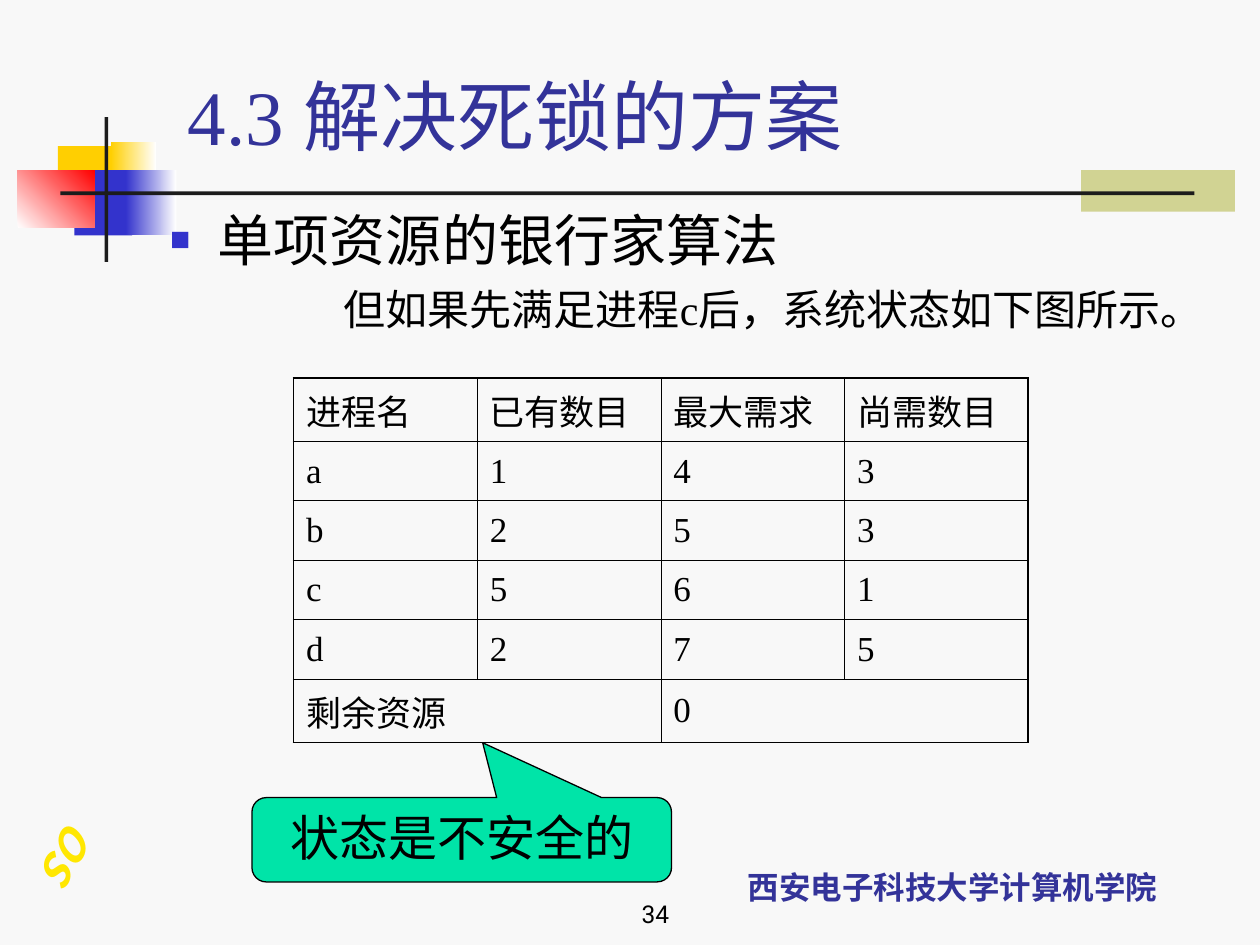
"""Slide on the banker's algorithm: an unsafe state after process c is served first."""
from typing import NamedTuple, Optional

from lxml import etree
from pptx import Presentation
from pptx.dml.color import RGBColor
from pptx.enum.shapes import MSO_SHAPE
from pptx.enum.text import MSO_ANCHOR, MSO_AUTO_SIZE, PP_ALIGN
from pptx.oxml.ns import qn
from pptx.util import Inches, Pt

RECT, CALLOUT = MSO_SHAPE.RECTANGLE, MSO_SHAPE.ROUNDED_RECTANGULAR_CALLOUT
LEFT, CENTER, RIGHT = PP_ALIGN.LEFT, PP_ALIGN.CENTER, PP_ALIGN.RIGHT
TOP, MIDDLE, BOTTOM = MSO_ANCHOR.TOP, MSO_ANCHOR.MIDDLE, MSO_ANCHOR.BOTTOM
NO_FIT = MSO_AUTO_SIZE.NONE
WIDTH, HEIGHT = Inches(10), Inches(7.5)
SERIF, SANS, DIGITS = "Times New Roman", "Noto Sans CJK SC", "Roboto"
THIN, THICK = Pt(0.45), Pt(1.08)
COLORS = {
    "paper": "F8F8F8", "olive": "D1D393", "yellow": "FFCF01", "blue": "3333CC",
    "red": "FF0000", "white": "FFFFFF", "ink": "1C1C1C", "navy": "333399",
    "black": "000000", "gold": "FFE701", "mint": "00E4A8",
}


class Box(NamedTuple):
    """A frame in percent of the slide's width and height."""
    left: float
    top: float
    width: float
    height: float

    def emu(self) -> tuple:
        """Return the frame in slide units."""
        sides = zip(self, (WIDTH, HEIGHT) * 2)
        return tuple(round(share * side / 100) for share, side in sides)


class Block(NamedTuple):
    """A decorative rectangle, fading to a second colour if one is given."""
    box: Box
    color: str
    fade: Optional[str] = None
    angle: float = 0


class Style(NamedTuple):
    """Look of a run of text and its paragraph."""
    size: float
    color: str = "black"
    font: str = SERIF
    bold: bool = False
    italic: bool = False
    align: PP_ALIGN = LEFT
    before: float = 0


BLOCKS = [
    Block(Box(85.8, 18, 12.2, 4.4), "olive"),
    Block(Box(4.6, 15.47, 4.8, 6.93), "yellow"),
    Block(Box(8.8, 15.07, 3.6, 6.93), "yellow", "white"),
    Block(Box(5.9, 18, 4.6, 6.93), "blue"),
    Block(Box(10, 18, 4, 6.93), "blue", "white"),
    Block(Box(1.4, 18, 6.1, 6.13), "white", "red", 45),
    Block(Box(8.3, 12.4, 0.3, 15.33), "ink"),
    Block(Box(4.8, 20.27, 90, 0.4), "ink"),
]
ROWS = [
    ["进程名", "已有数目", "最大需求", "尚需数目"],
    ["a", "1", "4", "3"],
    ["b", "2", "5", "3"],
    ["c", "5", "6", "1"],
    ["d", "2", "7", "5"],
    ["剩余资源", "", "0", ""],
]


def rgb(name: str) -> RGBColor:
    """Look up a named colour."""
    return RGBColor.from_string(COLORS[name])


def write(p, text: str, style: Style) -> None:
    """Add one formatted run to a paragraph."""
    p.alignment, p.space_before = style.align, Pt(style.before)
    r = p.add_run()
    r.text = text
    formats = {"size": Pt(style.size), "name": style.font,
               "bold": style.bold, "italic": style.italic}
    for name, value in formats.items():
        setattr(r.font, name, value)
    r.font.color.rgb = rgb(style.color)
    etree.SubElement(r.font._element, qn("a:ea"), typeface=SANS)


def set_frame(tf, anchor: MSO_ANCHOR, wrap: bool = True) -> None:
    """Fix the frame's anchor and wrapping, without fitting."""
    formats = {"auto_size": NO_FIT, "vertical_anchor": anchor, "word_wrap": wrap}
    for name, value in formats.items():
        setattr(tf, name, value)


def add_block(s, block: Block) -> None:
    """Draw a rectangle with a plain or fading fill."""
    sp = s.shapes.add_shape(RECT, *block.box.emu())
    sp.shadow.inherit = False
    sp.line.fill.background()
    if block.fade is None:
        sp.fill.solid()
        sp.fill.fore_color.rgb = rgb(block.color)
        return
    sp.fill.gradient()
    sp.fill.gradient_angle = block.angle
    for stop, name in zip(sp.fill.gradient_stops, (block.color, block.fade)):
        stop.color.rgb = rgb(name)


def add_label(s, box: Box, text: str, style: Style,
              anchor: MSO_ANCHOR = BOTTOM, wrap: bool = True):
    """Add a one-line text box."""
    sp = s.shapes.add_textbox(*box.emu())
    set_frame(sp.text_frame, anchor, wrap)
    write(sp.text_frame.paragraphs[0], text, style)
    return sp


def place(s, sp, box: Box, anchor: MSO_ANCHOR):
    """Move a placeholder in front of the blocks and return its text frame."""
    for name, value in zip(("left", "top", "width", "height"), box.emu()):
        setattr(sp, name, value)
    s.shapes.element.append(sp.element)
    set_frame(sp.text_frame, anchor)
    return sp.text_frame


def set_indent(p, first: float, bullet: Optional[str] = None) -> None:
    """Indent a list paragraph and set or clear its bullet."""
    pPr = p._p.get_or_add_pPr()
    pPr.set("marL", str(Inches(0.38)))
    pPr.set("indent", str(Inches(first)))
    if bullet is None:
        etree.SubElement(pPr, qn("a:buNone"))
        return
    color = etree.SubElement(pPr, qn("a:buClr"))
    etree.SubElement(color, qn("a:srgbClr"), val=COLORS["blue"])
    etree.SubElement(pPr, qn("a:buSzPct"), val="60000")
    etree.SubElement(pPr, qn("a:buChar"), char=bullet)


def set_borders(cell, outer: dict) -> None:
    """Rule a cell, thick on the sides that lie on the table's edge."""
    tcPr = cell._tc.get_or_add_tcPr()
    for side, is_outer in outer.items():
        ln = etree.SubElement(tcPr, qn(f"a:ln{side}"), w=str(THICK if is_outer else THIN))
        fill = etree.SubElement(ln, qn("a:solidFill"))
        etree.SubElement(fill, qn("a:srgbClr"), val=COLORS["black"])


def add_process_table(s, box: Box) -> None:
    """Add the table of processes, its last row merged in pairs."""
    last_row, last_col = len(ROWS) - 1, len(ROWS[0]) - 1
    table = s.shapes.add_table(last_row + 1, last_col + 1, *box.emu()).table
    table.first_row = table.horz_banding = False
    for i, row in enumerate(ROWS):
        for j, text in enumerate(row):
            cell = table.cell(i, j)
            end = j + 1 if i == last_row and j % 2 == 0 else j
            set_borders(cell, {"L": j == 0, "R": end == last_col,
                               "T": i == 0, "B": i == last_row})
            cell.fill.background()
            cell.vertical_anchor = MIDDLE
            if text:
                write(cell.text_frame.paragraphs[0], text, Style(20))
    for j in (0, 2):
        table.cell(last_row, j).merge(table.cell(last_row, j + 1))


def add_callout(s, box: Box, text: str) -> None:
    """Add the speech bubble pointing at the remaining resources."""
    sp = s.shapes.add_shape(CALLOUT, *box.emu())
    sp.shadow.inherit = False
    for i, value in enumerate((0.05, -1.15, 0.17)):
        sp.adjustments[i] = value
    sp.fill.solid()
    sp.fill.fore_color.rgb = rgb("mint")
    sp.line.color.rgb = rgb("black")
    sp.line.width = Pt(0.75)
    set_frame(sp.text_frame, TOP)
    write(sp.text_frame.paragraphs[0], text, Style(28, align=CENTER))


def main() -> None:
    """Build and save the slide."""
    prs = Presentation()
    prs.slide_width, prs.slide_height = WIDTH, HEIGHT
    s = prs.slides.add_slide(prs.slide_layouts[1])
    s.background.fill.solid()
    s.background.fill.fore_color.rgb = rgb("paper")
    for block in BLOCKS:
        add_block(s, block)
    add_label(s, Box(53.1, 88.8, 45, 7.73), "西安电子科技大学计算机学院",
              Style(18, "navy", SANS, bold=True, align=CENTER))
    mark = add_label(s, Box(1.8, 85.6, 6.6, 11.33), "OS",
                     Style(24, "gold", SANS, bold=True, italic=True), MIDDLE, False)
    mark.rotation = 29.3
    mark.text_frame._txBody.bodyPr.set("vert", "eaVert")
    add_label(s, Box(33.3, 92.27, 20.8, 6.67), "34", Style(14, font=DIGITS, align=RIGHT))
    tf = place(s, s.shapes.title, Box(13.9, 6.67, 85.2, 11.07), BOTTOM)
    write(tf.paragraphs[0], "4.3 解决死锁的方案", Style(44, "navy"))
    tf = place(s, s.placeholders[1], Box(12.5, 21.07, 85, 18.93), TOP)
    set_indent(tf.paragraphs[0], -0.38, "■")
    write(tf.paragraphs[0], "单项资源的银行家算法", Style(32))
    p = tf.add_paragraph()
    set_indent(p, 1)
    write(p, "但如果先满足进程c后，系统状态如下图所示。", Style(24, before=6))
    add_process_table(s, Box(23.3, 40, 58.3, 37.73))
    add_callout(s, Box(20, 84.4, 33.3, 8.93), "状态是不安全的")
    prs.save("out.pptx")


if __name__ == "__main__":
    main()
